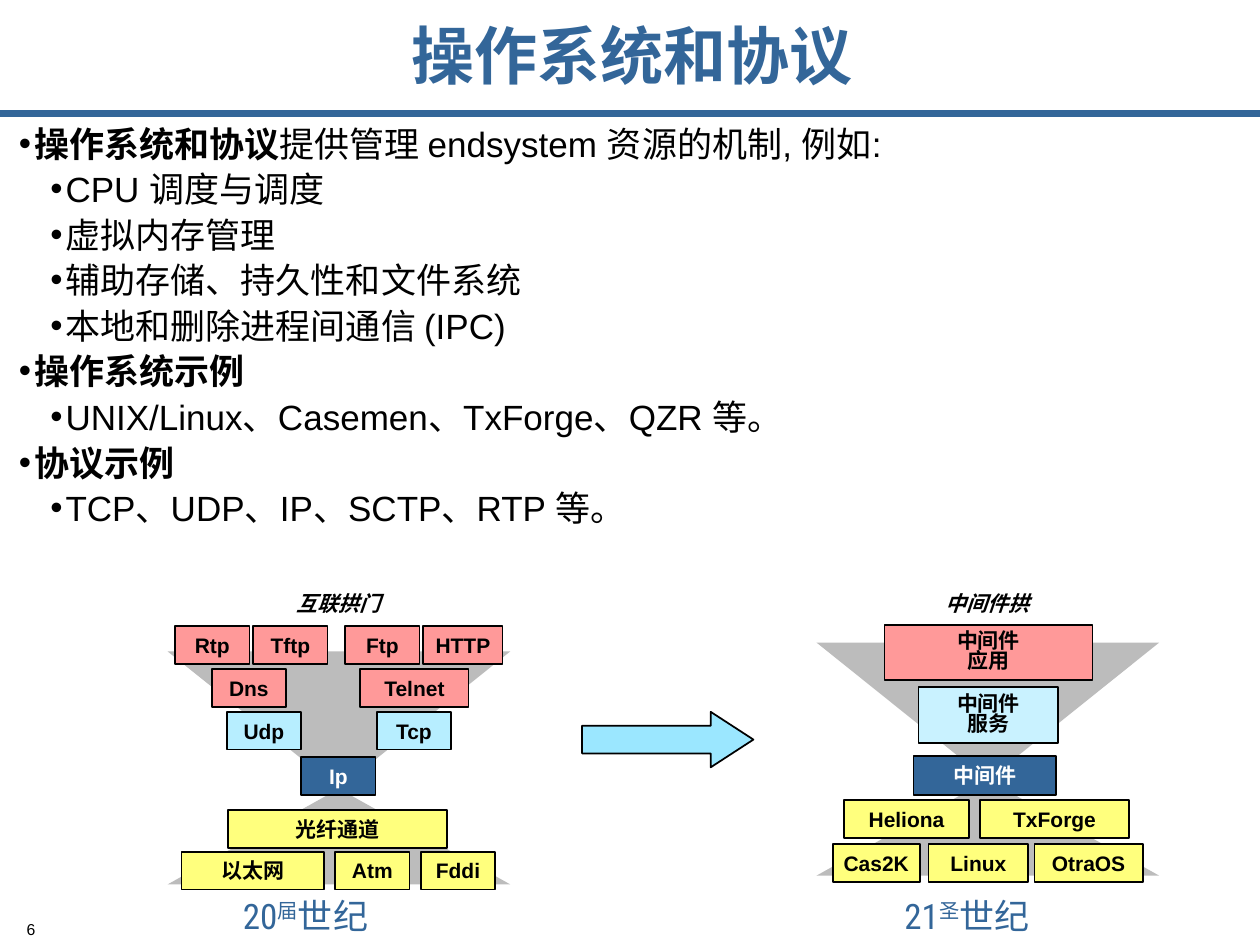
from dataclasses import dataclass

from lxml.etree import SubElement
from pptx import Presentation
from pptx.dml.color import RGBColor
from pptx.enum.shapes import MSO_CONNECTOR, MSO_SHAPE
from pptx.enum.text import MSO_ANCHOR, MSO_AUTO_SIZE, PP_ALIGN
from pptx.oxml.ns import qn
from pptx.util import Inches, Pt


@dataclass(frozen=True)
class Theme:
    blue: str = "336699"
    pink: str = "FF9999"
    cyan: str = "B7EEFF"
    pale: str = "C9F2FF"
    sky: str = "9BE7FF"
    yellow: str = "FFFF7D"
    grey: str = "BCBCBC"
    black: str = "000000"
    white: str = "FFFFFF"
    font: str = "Arial"
    century_font: str = "Roboto Condensed"
    title: int = 36
    body: int = 20
    label: int = 12
    number: int = 9


THEME = Theme()

BULLETS = [
    (0, "操作系统和协议", "提供管理 endsystem 资源的机制, 例如:"),
    (1, "", "CPU 调度与调度"),
    (1, "", "虚拟内存管理"),
    (1, "", "辅助存储、持久性和文件系统"),
    (1, "", "本地和删除进程间通信 (IPC)"),
    (0, "操作系统示例", ""),
    (1, "", "UNIX/Linux、Casemen、TxForge、QZR 等。"),
    (0, "协议示例", ""),
    (1, "", "TCP、UDP、IP、SCTP、RTP 等。"),
]

INTERNET_ROWS = [
    (4.97, 0.3, THEME.pink, [(1.39, 0.59, "Rtp"), (2.01, 0.59, "Tftp"),
                             (2.74, 0.59, "Ftp"), (3.36, 0.63, "HTTP")]),
    (5.31, 0.3, THEME.pink, [(1.68, 0.59, "Dns"), (2.86, 0.86, "Telnet")]),
    (5.65, 0.3, THEME.cyan, [(1.8, 0.59, "Udp"), (2.99, 0.59, "Tcp")]),
    (6.01, 0.3, THEME.blue, [(2.39, 0.59, "Ip")]),
    (6.43, 0.3, THEME.yellow, [(1.81, 1.74, "光纤通道")]),
    (6.76, 0.3, THEME.yellow, [(1.44, 1.13, "以太网"), (2.66, 0.59, "Atm"),
                               (3.34, 0.59, "Fddi")]),
]

MIDDLEWARE_ROWS = [
    (4.96, 0.44, THEME.pink, [(7.02, 1.65, "中间件\n应用")]),
    (5.45, 0.45, THEME.pale, [(7.29, 1.11, "中间件\n服务")]),
    (6, 0.31, THEME.blue, [(7.25, 1.13, "中间件")]),
    (6.35, 0.3, THEME.yellow, [(6.7, 0.99, "Heliona"), (7.78, 1.18, "TxForge")]),
    (6.7, 0.3, THEME.yellow, [(6.61, 0.69, "Cas2K"), (7.37, 0.79, "Linux"),
                              (8.21, 0.86, "OtraOS")]),
]


def apply(target, values):
    for name, value in values.items():
        setattr(target, name, value)


def place(box, left, top, width, height):
    apply(box, {"left": Inches(left), "top": Inches(top),
                "width": Inches(width), "height": Inches(height)})


def add_span(para, text, size, color=THEME.black, **font_values):
    span = para.add_run()
    span.text = text
    apply(span.font, {"name": THEME.font, "size": Pt(size), **font_values})
    span.font.color.rgb = RGBColor.from_string(color)
    return span


def add_text_box(page, left, top, width, height, **frame_values):
    box = page.shapes.add_textbox(
        Inches(left), Inches(top), Inches(width), Inches(height))
    apply(box.text_frame, {"word_wrap": True, **frame_values})
    return box.text_frame.paragraphs[0]


def add_preset(page, kind, left, top, width, height, fill, outlined=True):
    shape = page.shapes.add_shape(
        kind, Inches(left), Inches(top), Inches(width), Inches(height))
    shape.shadow.inherit = False
    shape.fill.solid()
    shape.fill.fore_color.rgb = RGBColor.from_string(fill)
    if outlined:
        shape.line.color.rgb = RGBColor.from_string(THEME.black)
        shape.line.width = Pt(1)
    else:
        shape.line.fill.background()
    return shape


def add_block(page, left, top, width, height, fill, label):
    frame = add_preset(page, MSO_SHAPE.RECTANGLE,
                       left, top, width, height, fill).text_frame
    apply(frame, {"word_wrap": False, "vertical_anchor": MSO_ANCHOR.MIDDLE})
    lines = label.split("\n")
    color = THEME.white if fill == THEME.blue else THEME.black
    for index, line in enumerate(lines):
        para = frame.add_paragraph() if index else frame.paragraphs[0]
        apply(para, {"alignment": PP_ALIGN.CENTER,
                     "line_spacing": 0.8 if len(lines) > 1 else 1.0})
        add_span(para, line, THEME.label, color, bold=True)


def add_hourglass(page, left, top):
    width, upper, lower = 2.72, 1.09, 0.76
    add_preset(page, MSO_SHAPE.ISOSCELES_TRIANGLE,
               left, top + upper, width, lower, THEME.grey, False)
    funnel = add_preset(page, MSO_SHAPE.ISOSCELES_TRIANGLE,
                        left, top, width, upper, THEME.grey, False)
    funnel._element.spPr.find(qn("a:xfrm")).set("flipV", "1")


def add_arch(page, left, top, heading, heading_left, heading_width, rows):
    add_hourglass(page, left, top)
    for row_top, height, fill, blocks in rows:
        for block_left, width, label in blocks:
            add_block(page, block_left, row_top, width, height, fill, label)
    para = add_text_box(page, heading_left, 4.64, heading_width, 0.3)
    para.alignment = PP_ALIGN.CENTER
    add_span(para, heading, THEME.label, bold=True, italic=True)


def add_century(page, left, number, suffix):
    para = add_text_box(page, left, 7.05, 1.59, 0.43)
    for text, raised in ((number, False), (suffix, True), ("世纪", False)):
        span = add_span(para, text, THEME.body, THEME.blue,
                        name=THEME.century_font)
        if raised:
            span.font._element.set("baseline", "30000")


def fill_title(page):
    title = page.shapes.title
    place(title, 0.68, -0.04, 8.67, 1)
    apply(title.text_frame, {"vertical_anchor": MSO_ANCHOR.MIDDLE,
                             "auto_size": MSO_AUTO_SIZE.NONE})
    para = title.text_frame.paragraphs[0]
    apply(para, {"alignment": PP_ALIGN.CENTER, "line_spacing": 0.95})
    add_span(para, "操作系统和协议", THEME.title, THEME.blue, bold=True)


def fill_body(page):
    body = page.placeholders[1]
    place(body, 0.05, 0.92, 10, 3.7)
    frame = body.text_frame
    frame.auto_size = MSO_AUTO_SIZE.NONE
    for index, (level, strong, plain) in enumerate(BULLETS):
        para = frame.add_paragraph() if index else frame.paragraphs[0]
        apply(para, {"level": level, "space_before": Pt(2 if index else 0)})
        properties = para._p.get_or_add_pPr()
        properties.set("marL", str(Inches(0.12 + 0.25 * level)))
        properties.set("indent", str(Inches(-0.12)))
        SubElement(properties, qn("a:buFont"), typeface=THEME.font)
        SubElement(properties, qn("a:buChar"), char="•")
        for text, bold in ((strong, True), (plain, False)):
            if text:
                add_span(para, text, THEME.body, bold=bold)


def add_rule(page):
    rule = page.shapes.add_connector(
        MSO_CONNECTOR.STRAIGHT, 0, Inches(0.9), Inches(10), Inches(0.9))
    rule.line.color.rgb = RGBColor.from_string(THEME.blue)
    rule.line.width = Pt(3.75)
    SubElement(rule._element.spPr, qn("a:effectLst"))


def add_page_number(page):
    para = add_text_box(page, 0, 7.32, 0.28, 0.13, margin_left=0,
                        margin_right=0, margin_top=0, margin_bottom=0)
    apply(para, {"alignment": PP_ALIGN.RIGHT, "line_spacing": 0.9})
    add_span(para, "6", THEME.number)


def main():
    deck = Presentation()
    apply(deck, {"slide_width": Inches(10), "slide_height": Inches(7.5)})
    page = deck.slides.add_slide(deck.slide_layouts[1])
    add_rule(page)
    add_page_number(page)
    fill_title(page)
    fill_body(page)
    add_arch(page, 1.33, 5.17, "互联拱门", 1.49, 2.39, INTERNET_ROWS)
    add_century(page, 1.83, "20", "届")
    add_arch(page, 6.48, 5.1, "中间件拱", 6.9, 1.87, MIDDLEWARE_ROWS)
    arrow = add_preset(page, MSO_SHAPE.RIGHT_ARROW,
                       4.62, 5.65, 1.36, 0.44, THEME.sky)
    arrow.adjustments[1] = 0.77
    add_century(page, 7.08, "21", "圣")
    deck.save("out.pptx")


if __name__ == "__main__":
    main()
